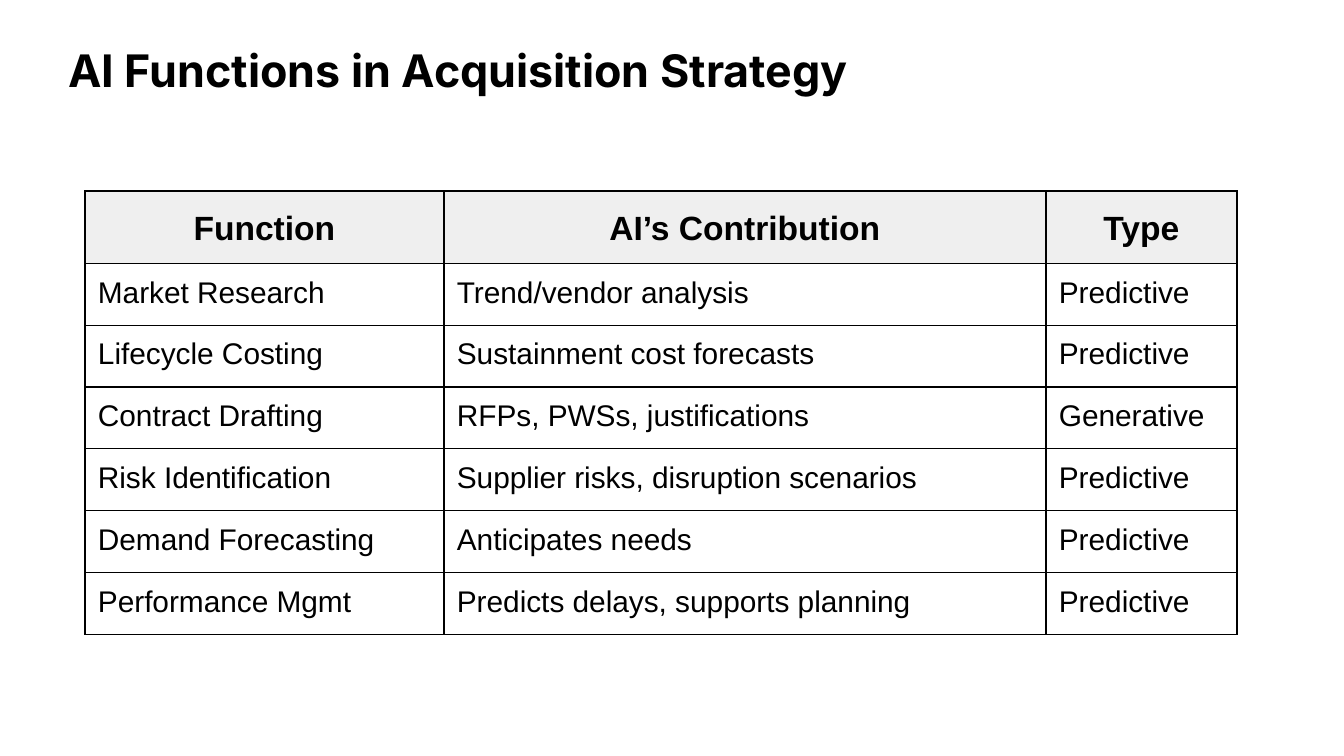
from lxml.etree import SubElement
from pptx import Presentation
from pptx.dml.color import RGBColor
from pptx.enum.text import MSO_ANCHOR, PP_ALIGN
from pptx.oxml.ns import qn
from pptx.util import Pt

EMU_PER_PX = 914400 / 134.4
BLACK, HEADER_GREY = "000000", "EFEFEF"
MARGINS = ("margin_left", "margin_right", "margin_top", "margin_bottom")

TITLE = "AI Functions in Acquisition Strategy"
ROWS = [
    ("Function", "AI’s Contribution", "Type"),
    ("Market Research", "Trend/vendor analysis", "Predictive"),
    ("Lifecycle Costing", "Sustainment cost forecasts", "Predictive"),
    ("Contract Drafting", "RFPs, PWSs, justifications", "Generative"),
    ("Risk Identification", "Supplier risks, disruption scenarios", "Predictive"),
    ("Demand Forecasting", "Anticipates needs", "Predictive"),
    ("Performance Mgmt", "Predicts delays, supports planning", "Predictive"),
]
COLUMN_WIDTHS = (359, 602, 191)
HEADER_HEIGHT, ROW_HEIGHT = 70, 60

TITLE_FONT = {"name": "Inter", "size": Pt(24), "bold": True}
HEADER_FONT = {"name": "Arial", "size": Pt(18), "bold": True}
BODY_FONT = {"name": "Arial", "size": Pt(16), "bold": False}
HEADER_PARAGRAPH = {"alignment": PP_ALIGN.CENTER, "line_spacing": 1.15}
BODY_PARAGRAPH = {"alignment": PP_ALIGN.LEFT}


def px(length):
    return round(length * EMU_PER_PX)


def color(hex_value):
    return RGBColor.from_string(hex_value)


def set_attributes(target, values):
    for name, value in values.items():
        setattr(target, name, value)


def write_text(tf, text, paragraph_format, font_format):
    p = tf.paragraphs[0]
    set_attributes(p, paragraph_format)
    r = p.add_run()
    r.text = text
    set_attributes(r.font, font_format)
    r.font.color.rgb = color(BLACK)


def add_borders(cell):
    tc_pr = cell._tc.get_or_add_tcPr()
    for side in ("a:lnL", "a:lnR", "a:lnT", "a:lnB"):
        line = SubElement(tc_pr, qn(side), w=str(Pt(0.75)))
        fill = SubElement(line, qn("a:solidFill"))
        SubElement(fill, qn("a:srgbClr"), val=BLACK)


def add_title(s, left, top, width, height):
    tf = s.shapes.add_textbox(px(left), px(top), px(width), px(height)).text_frame
    set_attributes(tf, {"word_wrap": True, "vertical_anchor": MSO_ANCHOR.MIDDLE})
    write_text(tf, TITLE, {"line_spacing": 1.2}, TITLE_FONT)


def add_functions_table(s, left, top):
    heights = [HEADER_HEIGHT] + [ROW_HEIGHT] * (len(ROWS) - 1)
    table = s.shapes.add_table(
        len(ROWS), len(COLUMN_WIDTHS), px(left), px(top),
        px(sum(COLUMN_WIDTHS)), px(sum(heights))).table
    set_attributes(table, {"first_row": False, "horz_banding": False})
    for column, width in zip(table.columns, COLUMN_WIDTHS):
        column.width = px(width)

    for i, (row, height, texts) in enumerate(zip(table.rows, heights, ROWS)):
        row.height = px(height)
        for cell, text in zip(row.cells, texts):
            set_attributes(cell, dict.fromkeys(MARGINS, px(13)))
            add_borders(cell)
            if i == 0:
                cell.fill.solid()
                cell.fill.fore_color.rgb = color(HEADER_GREY)
                write_text(cell.text_frame, text, HEADER_PARAGRAPH, HEADER_FONT)
            else:
                cell.fill.background()
                write_text(cell.text_frame, text, BODY_PARAGRAPH, BODY_FONT)


def main():
    prs = Presentation()
    set_attributes(prs, {"slide_width": px(1344), "slide_height": px(756)})
    s = prs.slides.add_slide(prs.slide_layouts[6])
    add_title(s, 55, 39, 1019, 51)
    add_functions_table(s, 85, 191)
    prs.save("out.pptx")


if __name__ == "__main__":
    main()
